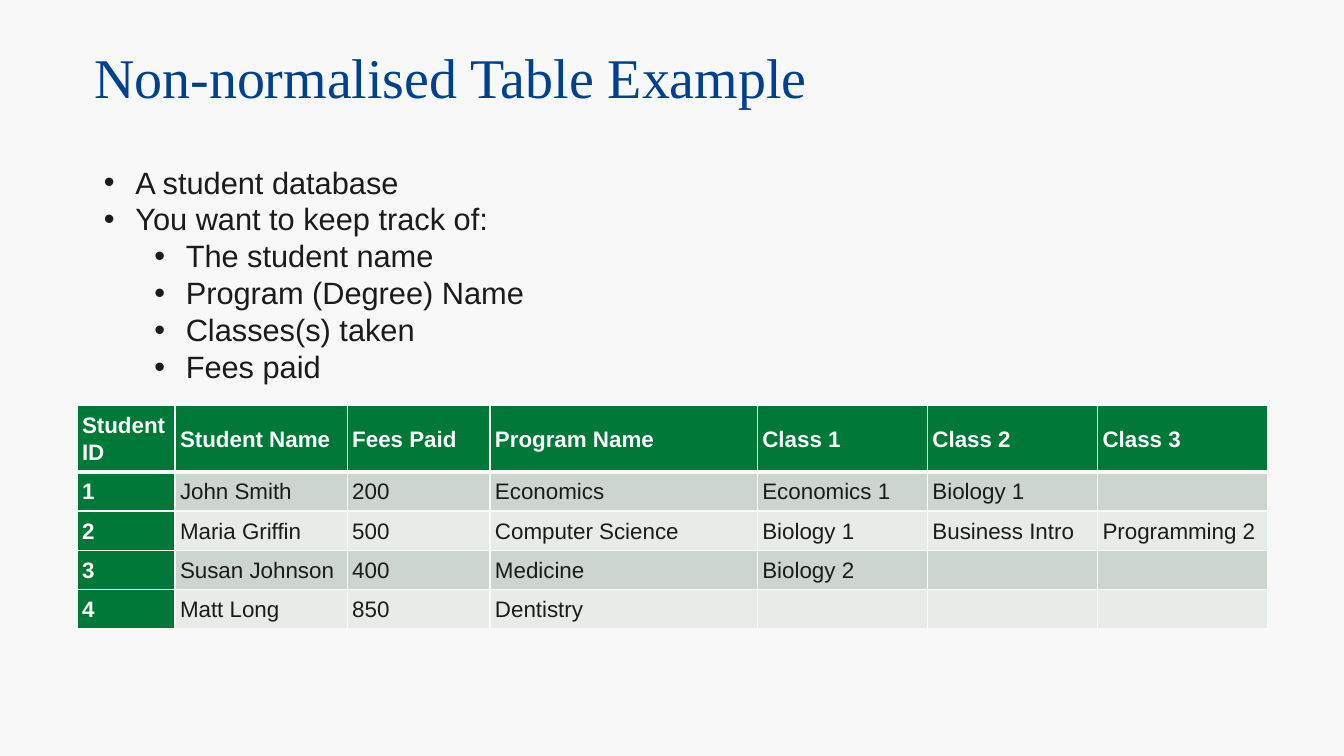
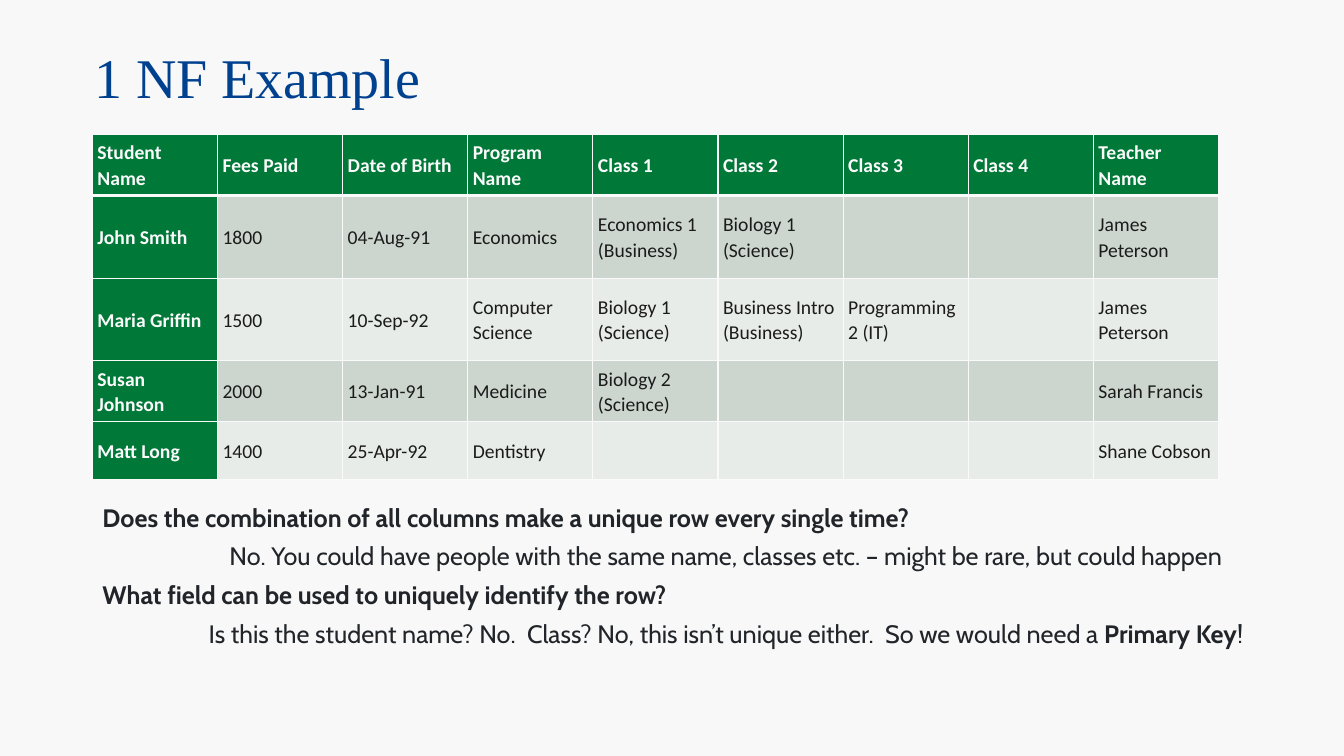
"""Build two slides on table normalisation with a shared title, body and table style."""
from lxml.etree import SubElement
from pptx import Presentation
from pptx.dml.color import RGBColor
from pptx.enum.text import MSO_ANCHOR, MSO_AUTO_SIZE, PP_ALIGN
from pptx.oxml.ns import qn
from pptx.util import Pt

BACKGROUND, TITLE_BLUE, GREEN = "F8F8F8", "00418F", "007838"
LIGHT, DARK, BODY_GREY = "FAFAFA", "1B1B1B", "212529"
BANDS = ("CCD6CE", "E7ECE8")
INDENT, LEVEL_STEP = 22.5, 36

TRACKED_TITLE = "Non-normalised Table Example"
TRACKED_ITEMS = [
    (0, "A student database"),
    (0, "You want to keep track of:"),
    (1, "The student name"),
    (1, "Program (Degree) Name"),
    (1, "Classes(s) taken"),
    (1, "Fees paid"),
]
TRACKED_ROWS = [
    ("Student ID", "Student Name", "Fees Paid", "Program Name", "Class 1", "Class 2", "Class 3"),
    ("1", "John Smith", "200", "Economics", "Economics 1", "Biology 1", ""),
    ("2", "Maria Griffin", "500", "Computer Science", "Biology 1", "Business Intro", "Programming 2"),
    ("3", "Susan Johnson", "400", "Medicine", "Biology 2", "", ""),
    ("4", "Matt Long", "850", "Dentistry", "", "", ""),
]
TRACKED_WIDTHS = [70, 123, 102, 191] + [121.5] * 3
TRACKED_HEIGHTS = [47.5] + [28] * 4

FIRST_FORM_TITLE = "1 NF Example"
FIRST_FORM_ROWS = [
    ("Student Name", "Fees Paid", "Date of Birth", "Program Name", "Class 1", "Class 2",
     "Class 3", "Class 4", "Teacher Name"),
    ("John Smith", "1800", "04-Aug-91", "Economics", "Economics 1 (Business)",
     "Biology 1 (Science)", "", "", "James Peterson"),
    ("Maria Griffin", "1500", "10-Sep-92", "Computer Science", "Biology 1 (Science)",
     "Business Intro (Business)", "Programming 2 (IT)", "", "James Peterson"),
    ("Susan Johnson", "2000", "13-Jan-91", "Medicine", "Biology 2 (Science)", "", "", "",
     "Sarah Francis"),
    ("Matt Long", "1400", "25-Apr-92", "Dentistry", "", "", "", "", "Shane Cobson"),
]
FIRST_FORM_WIDTHS = [89.4] * 9
FIRST_FORM_HEIGHTS = [43.5, 59, 59, 43.5, 41]
QUESTIONS = [
    (PP_ALIGN.LEFT, [("Does the combination of all columns make a unique row every single time?", True)]),
    (PP_ALIGN.CENTER, [("No. You could have people with the same name, classes etc. – might be rare, "
                        "but could happen", False)]),
    (PP_ALIGN.LEFT, [("What field can be used to uniquely identify the row?", True)]),
    (PP_ALIGN.CENTER, [("Is this the student name? No.  Class? No, this isn’t unique either.  "
                        "So we would need a ", False), ("Primary Key", True), ("!", False)]),
]


def color(value):
    return RGBColor.from_string(value)


def style(font, name, size, value, bold=False):
    font.name, font.size, font.bold = name, Pt(size), bold
    font.color.rgb = color(value)


def place(shape, left, top, width, height):
    shape.left, shape.top, shape.width, shape.height = map(Pt, (left, top, width, height))
    shape.text_frame.word_wrap = True
    shape.text_frame.auto_size = MSO_AUTO_SIZE.NONE
    return shape.text_frame


def add_titled_slide(presentation, title):
    slide = presentation.slides.add_slide(presentation.slide_layouts[1])
    frame = place(slide.shapes.title, 60, 34.5, 855, 45.5)
    frame.vertical_anchor = MSO_ANCHOR.MIDDLE
    paragraph = frame.paragraphs[0]
    paragraph.text = title
    paragraph.alignment = PP_ALIGN.LEFT
    paragraph.line_spacing = 0.9
    style(paragraph.font, "Times New Roman", 40, TITLE_BLUE)
    return slide


def next_paragraph(frame, index):
    paragraph = frame.add_paragraph() if index else frame.paragraphs[0]
    paragraph.space_before = Pt(0)
    return paragraph


def set_bullet(paragraph, character=None, margin=0, indent=0):
    properties = paragraph._p.get_or_add_pPr()
    properties.set("marL", str(Pt(margin)))
    properties.set("indent", str(Pt(indent)))
    if character:
        SubElement(properties, qn("a:buChar")).set("char", character)
    else:
        SubElement(properties, qn("a:buNone"))


def fill_bullets(frame, items):
    for index, (level, text) in enumerate(items):
        paragraph = next_paragraph(frame, index)
        paragraph.text = text
        paragraph.level = level
        set_bullet(paragraph, "•", INDENT + level * LEVEL_STEP, -INDENT)
        paragraph.line_spacing = Pt(26.4)
        style(paragraph.font, "Arial", 22, DARK)


def fill_questions(frame, questions):
    for index, (alignment, pieces) in enumerate(questions):
        paragraph = next_paragraph(frame, index)
        set_bullet(paragraph)
        paragraph.alignment = alignment
        paragraph.space_after = Pt(6)
        style(paragraph.font, "Cabin", 18, BODY_GREY, pieces[0][1])
        for text, bold in pieces:
            run = paragraph.add_run()
            run.text = text
            if len(pieces) > 1:
                run.font.bold = bold


def set_borders(cell, top, bottom):
    properties = cell._tc.get_or_add_tcPr()
    for side, width in (("L", 1), ("R", 1), ("T", top), ("B", bottom)):
        line = SubElement(properties, qn(f"a:ln{side}"), w=str(Pt(width)))
        SubElement(SubElement(line, qn("a:solidFill")), qn("a:srgbClr")).set("val", LIGHT)


def add_grid(slide, left, top, widths, heights, rows, font_name, size):
    table = slide.shapes.add_table(len(rows), len(widths), Pt(left), Pt(top),
                                   Pt(sum(widths)), Pt(sum(heights))).table
    table.horz_banding = False
    for column, width in zip(table.columns, widths):
        column.width = Pt(width)
    for row_index, (row, height, texts) in enumerate(zip(table.rows, heights, rows)):
        row.height = Pt(height)
        for column_index, (cell, text) in enumerate(zip(row.cells, texts)):
            heading = row_index == 0 or column_index == 0
            set_borders(cell, 3 if row_index == 1 else 1, 3 if row_index == 0 else 1)
            cell.fill.solid()
            cell.fill.fore_color.rgb = color(GREEN if heading else BANDS[(row_index - 1) % 2])
            cell.vertical_anchor = MSO_ANCHOR.MIDDLE
            cell.margin_left = cell.margin_right = cell.margin_top = cell.margin_bottom = Pt(3.6)
            paragraph = cell.text_frame.paragraphs[0]
            paragraph.line_spacing = 1.07
            style(paragraph.font, font_name, size, LIGHT if heading else DARK, heading)
            if text:
                paragraph.text = text
            else:
                paragraph._p.get_or_add_endParaRPr().set("sz", str(size * 100))


def main():
    presentation = Presentation()
    presentation.slide_width, presentation.slide_height = Pt(960), Pt(540)
    background = presentation.slide_master.background.fill
    background.solid()
    background.fore_color.rgb = color(BACKGROUND)

    slide = add_titled_slide(presentation, TRACKED_TITLE)
    fill_bullets(place(slide.placeholders[1], 67, 113, 785, 167), TRACKED_ITEMS)
    add_grid(slide, 55, 289.5, TRACKED_WIDTHS, TRACKED_HEIGHTS, TRACKED_ROWS, "Arial", 16)

    slide = add_titled_slide(presentation, FIRST_FORM_TITLE)
    add_grid(slide, 66, 96, FIRST_FORM_WIDTHS, FIRST_FORM_HEIGHTS, FIRST_FORM_ROWS, "Calibri", 14)
    fill_questions(place(slide.placeholders[1], 66, 355, 905, 113), QUESTIONS)

    presentation.save("out.pptx")


if __name__ == "__main__":
    main()
